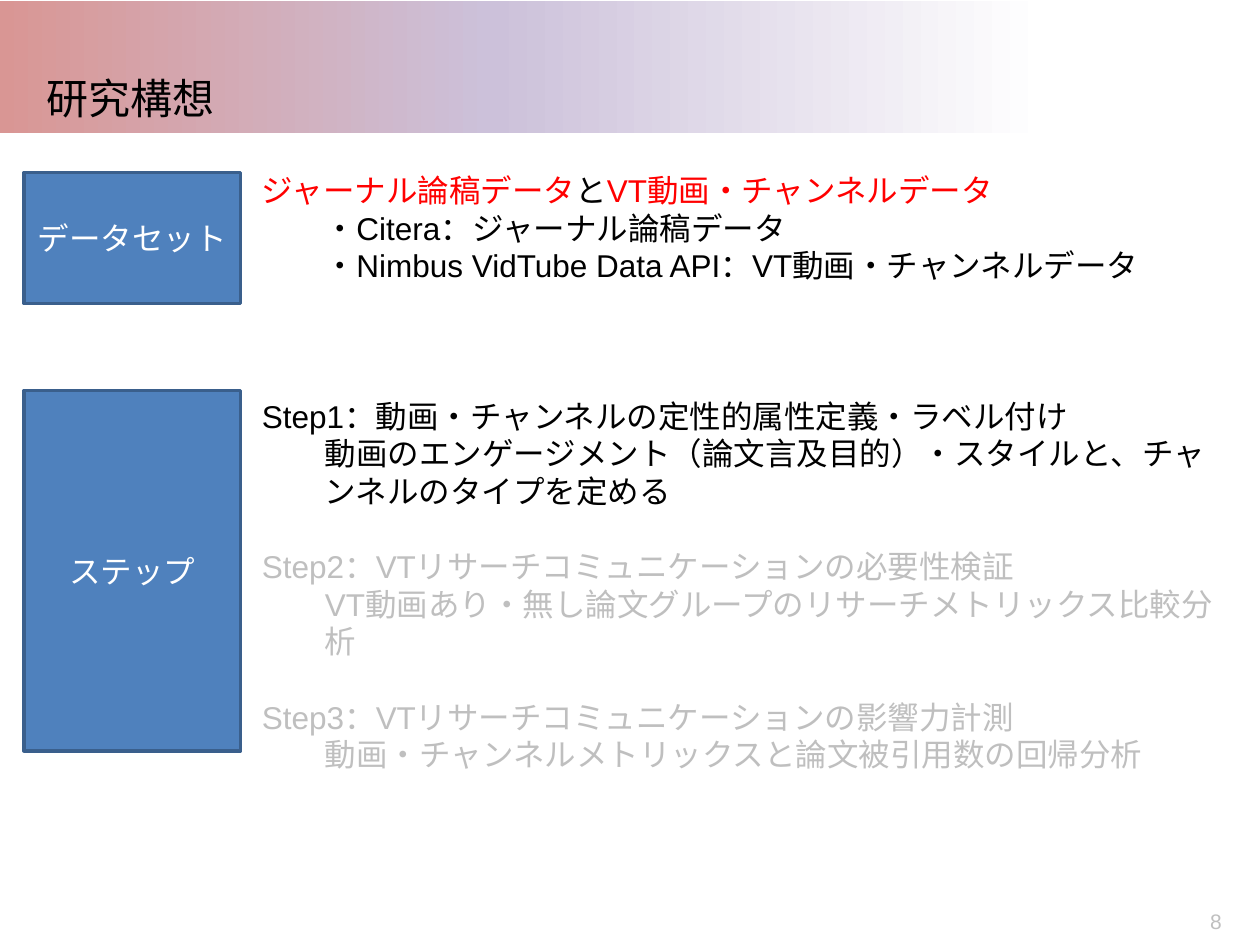
import lxml.etree
import pptx
import pptx.dml.color
import pptx.enum.shapes
import pptx.enum.text
import pptx.oxml.ns
import pptx.util

Pt = pptx.util.Pt
RGBColor = pptx.dml.color.RGBColor
ANCHOR = pptx.enum.text.MSO_ANCHOR
ALIGN = pptx.enum.text.PP_ALIGN
qn = pptx.oxml.ns.qn

BLACK = RGBColor(0x00, 0x00, 0x00)
WHITE = RGBColor(0xFF, 0xFF, 0xFF)
RED = RGBColor(0xFF, 0x00, 0x00)
GREY = RGBColor(0xBF, 0xBF, 0xBF)
BLUE = RGBColor(0x4F, 0x81, 0xBD)
DARK_BLUE = RGBColor(0x3A, 0x5F, 0x8C)
ROSE = RGBColor(0xD9, 0x96, 0x94)
LILAC = RGBColor(0xCC, 0xC1, 0xDA)

BANNER_STOPS = [(0, ROSE), (39, LILAC), (83, WHITE), (100, WHITE)]
LINE = 21.5
INDENT = 36

# Each paragraph: runs as (text, colour), level, blank lines before it
OUTLINE = [
    ([("ジャーナル論稿データ", RED), ("と", BLACK),
      ("VT動画・チャンネルデータ", RED)], 0, 0),
    ([("・Citera：ジャーナル論稿データ", BLACK)], 1, 0),
    ([("・Nimbus VidTube Data API：VT動画・チャンネルデータ", BLACK)], 1, 0),
    ([("Step1：動画・チャンネルの定性的属性定義・ラベル付け", BLACK)], 0, 3),
    ([("動画のエンゲージメント（論文言及目的）・スタイルと、"
       "チャンネルのタイプを定める", BLACK)], 1, 0),
    ([("Step2：VTリサーチコミュニケーションの必要性検証", GREY)], 0, 1),
    ([("VT動画あり・無し論文グループのリサーチメトリックス比較分析", GREY)], 1, 0),
    ([("Step3：VTリサーチコミュニケーションの影響力計測", GREY)], 0, 1),
    ([("動画・チャンネルメトリックスと論文被引用数の回帰分析", GREY)], 1, 0),
]


def add_span(para, text, size=18, color=BLACK, font="Arial"):
    span = para.add_run()
    span.text = text
    span.font.size = Pt(size)
    span.font.name = font
    span.font.color.rgb = color
    east_asian = lxml.etree.Element(qn("a:ea"), typeface=font)
    span.font._element.find(qn("a:latin")).addnext(east_asian)


def add_text_box(page, left, top, width, height, anchor=ANCHOR.TOP):
    box = page.shapes.add_textbox(Pt(left), Pt(top), Pt(width), Pt(height))
    box.text_frame.word_wrap = True
    box.text_frame.vertical_anchor = anchor
    return box


def add_rectangle(page, left, top, width, height):
    box = page.shapes.add_shape(
        pptx.enum.shapes.MSO_SHAPE.RECTANGLE,
        Pt(left), Pt(top), Pt(width), Pt(height))
    box.shadow.inherit = False
    return box


def add_banner(page):
    """Strip across the top, fading from left to right."""
    banner = add_rectangle(page, 0, 0.7, 720, 75.6)
    banner.line.fill.background()
    banner.fill.gradient()
    banner.fill.gradient_angle = 0
    stops = banner._element.spPr.find(qn("a:gradFill")).find(qn("a:gsLst"))
    for old_stop in list(stops):
        stops.remove(old_stop)
    for percent, color in BANNER_STOPS:
        stop = lxml.etree.SubElement(stops, qn("a:gs"), pos=str(percent * 1000))
        lxml.etree.SubElement(stop, qn("a:srgbClr"), val=str(color))


def add_section_label(page, text, top, height):
    label = add_rectangle(page, 13.7, top, 123.8, height)
    label.fill.solid()
    label.fill.fore_color.rgb = BLUE
    label.line.color.rgb = DARK_BLUE
    label.line.width = Pt(2)
    label.text_frame.vertical_anchor = ANCHOR.MIDDLE
    para = label.text_frame.paragraphs[0]
    para.alignment = ALIGN.CENTER
    add_span(para, text, color=WHITE)


def add_outline(page):
    box = add_text_box(page, 142.6, 94.3, 560.2, 392.4)
    frame = box.text_frame
    for number, (spans, level, blank_lines) in enumerate(OUTLINE):
        para = frame.add_paragraph() if number else frame.paragraphs[0]
        para.level = level
        para.line_spacing = Pt(LINE)
        if blank_lines:
            para.space_before = Pt(blank_lines * LINE)
        properties = para._p.get_or_add_pPr()
        properties.set("marL", str(Pt(level * INDENT)))
        properties.set("indent", "0")
        for text, color in spans:
            add_span(para, text, color=color)


def main():
    deck = pptx.Presentation()
    deck.slide_width, deck.slide_height = Pt(720), Pt(540)
    page = deck.slides.add_slide(deck.slide_layouts[6])

    add_banner(page)
    title = add_text_box(page, 19.4, 10.1, 682.6, 63.4, anchor=ANCHOR.BOTTOM)
    add_span(title.text_frame.paragraphs[0], "研究構想", size=24,
             font="Noto Sans CJK JP")
    add_outline(page)
    add_section_label(page, "データセット", 98.6, 74.9)
    add_section_label(page, "ステップ", 223.2, 205.9)

    number = add_text_box(page, 669.6, 515.5, 50.4, 21.6)
    para = number.text_frame.paragraphs[0]
    para.alignment = ALIGN.CENTER
    add_span(para, "8", size=12, color=GREY)

    deck.save("out.pptx")


if __name__ == "__main__":
    main()
